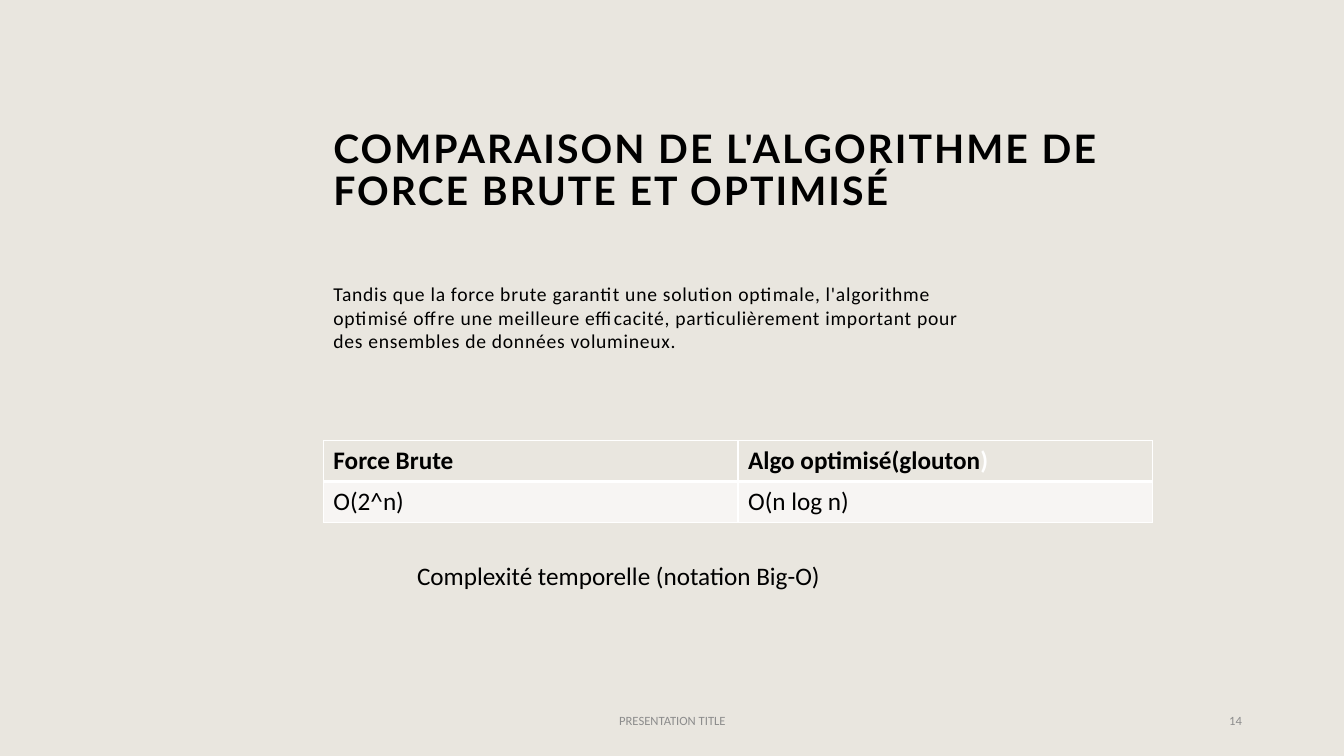
"""Build the slide comparing the brute-force and the optimised algorithm."""
from dataclasses import dataclass

from lxml import etree
from pptx import Presentation
from pptx.dml.color import RGBColor
from pptx.enum.text import MSO_ANCHOR, MSO_AUTO_SIZE, PP_ALIGN
from pptx.oxml.ns import qn
from pptx.slide import Slide
from pptx.table import _Cell
from pptx.text.text import Font
from pptx.util import Cm, Pt

LEFT, CENTER, RIGHT = PP_ALIGN.LEFT, PP_ALIGN.CENTER, PP_ALIGN.RIGHT
TOP, MIDDLE = MSO_ANCHOR.TOP, MSO_ANCHOR.MIDDLE
FIT_SHAPE = MSO_AUTO_SIZE.SHAPE_TO_FIT_TEXT
COLORS = {
    "background": "E9E6DF",
    "row": "F7F5F3",
    "text": "000000",
    "footer": "8C8C8C",
    "white": "FFFFFF",
}
BLANK_LAYOUT = 6
TABLE_LEFT, TABLE_TOP, COLUMN_WIDTH, ROW_HEIGHT = 8.15, 11.1, 10.45, 1.03


@dataclass
class TextBox:
    """A text box with its place in centimetres and its style."""
    text: str
    left: float
    top: float
    width: float
    height: float
    size: float
    color: str = "text"
    font: str = "Calibri"
    bold: bool = False
    align: PP_ALIGN = LEFT
    anchor: MSO_ANCHOR = TOP
    wrap: bool = True
    tracking: float = 0
    line_spacing: float = 1.0
    space_before: float = 0


@dataclass
class TableRow:
    """A table row with its fill, weight and bottom border in points."""
    texts: tuple[str, ...]
    fill: str
    bold: bool
    bottom_border: float


TEXT_BOXES = [
    TextBox("COMPARAISON DE L'ALGORITHME DE FORCE BRUTE ET OPTIMISÉ",
            8.15, 2.49, 23.39, 3.68, 28, font="Lato", bold=True,
            anchor=MIDDLE, tracking=1.5, line_spacing=0.9),
    TextBox("Tandis que la force brute garantit une solution optimale, "
            "l'algorithme optimisé offre une meilleure efficacité, "
            "particulièrement important pour des ensembles de données "
            "volumineux.",
            8.15, 6.99, 16.79, 9.27, 14, tracking=0.5, space_before=10),
    TextBox("PRESENTATION TITLE", 11.23, 17.65, 11.43, 1.02, 9, "footer",
            align=CENTER, anchor=MIDDLE),
    TextBox("14", 23.93, 17.65, 7.62, 1.02, 9, "footer",
            align=RIGHT, anchor=MIDDLE),
    TextBox("Complexité temporelle (notation Big-O)",
            10.26, 14, 11.46, 1.02, 18, wrap=False),
]
TABLE_ROWS = [
    TableRow(("Force Brute", "Algo optimisé(glouton"), "background", True, 3),
    TableRow(("O(2^n)", "O(n log n)"), "row", False, 1),
]


def rgb(name: str) -> RGBColor:
    """Return the named colour."""
    return RGBColor.from_string(COLORS[name])


def style_font(font: Font, name: str, size: float, color: str, bold: bool) -> None:
    """Set the typeface, size, colour and weight of a font."""
    font.name = name
    font.size = Pt(size)
    font.bold = bold
    font.color.rgb = rgb(color)


def add_text_box(slide: Slide, box: TextBox) -> None:
    """Draw one text box."""
    shape = slide.shapes.add_textbox(
        Cm(box.left), Cm(box.top), Cm(box.width), Cm(box.height))
    frame = shape.text_frame
    frame.word_wrap = box.wrap
    frame.vertical_anchor = box.anchor
    if not box.wrap:
        frame.auto_size = FIT_SHAPE
    paragraph = frame.paragraphs[0]
    paragraph.alignment = box.align
    paragraph.line_spacing = box.line_spacing
    paragraph.space_before = Pt(box.space_before)
    style_font(paragraph.font, box.font, box.size, box.color, box.bold)
    run = paragraph.add_run()
    run.text = box.text
    if box.tracking:
        run._r.get_or_add_rPr().set("spc", str(round(box.tracking * 100)))


def set_border(cell: _Cell, side: str, points: float) -> None:
    """Give one side of a cell a white border."""
    properties = cell._tc.get_or_add_tcPr()
    line = etree.SubElement(properties, qn(f"a:ln{side}"), w=str(Pt(points)))
    fill = etree.SubElement(line, qn("a:solidFill"))
    etree.SubElement(fill, qn("a:srgbClr"), val=COLORS["white"])


def add_complexity_table(slide: Slide) -> None:
    """Draw the table of time complexities."""
    row_count, column_count = len(TABLE_ROWS), len(TABLE_ROWS[0].texts)
    table = slide.shapes.add_table(
        row_count, column_count, Cm(TABLE_LEFT), Cm(TABLE_TOP),
        Cm(COLUMN_WIDTH * column_count), Cm(ROW_HEIGHT * row_count)).table
    top_border = 1
    for row_index, row in enumerate(TABLE_ROWS):
        for column_index, text in enumerate(row.texts):
            cell = table.cell(row_index, column_index)
            borders = {"L": 1, "R": 1, "T": top_border, "B": row.bottom_border}
            for side, points in borders.items():
                set_border(cell, side, points)
            cell.fill.solid()
            cell.fill.fore_color.rgb = rgb(row.fill)
            paragraph = cell.text_frame.paragraphs[0]
            style_font(paragraph.font, "Calibri", 18, "text", row.bold)
            paragraph.add_run().text = text
        top_border = row.bottom_border
    closing_bracket = table.cell(0, 1).text_frame.paragraphs[0].add_run()
    closing_bracket.text = ")"
    closing_bracket.font.color.rgb = rgb("white")


def main() -> None:
    """Build and save the presentation."""
    presentation = Presentation()
    presentation.slide_width, presentation.slide_height = Cm(33.87), Cm(19.05)
    slide = presentation.slides.add_slide(presentation.slide_layouts[BLANK_LAYOUT])
    slide.background.fill.solid()
    slide.background.fill.fore_color.rgb = rgb("background")
    for box in TEXT_BOXES:
        add_text_box(slide, box)
    add_complexity_table(slide)
    presentation.save("out.pptx")


if __name__ == "__main__":
    main()
